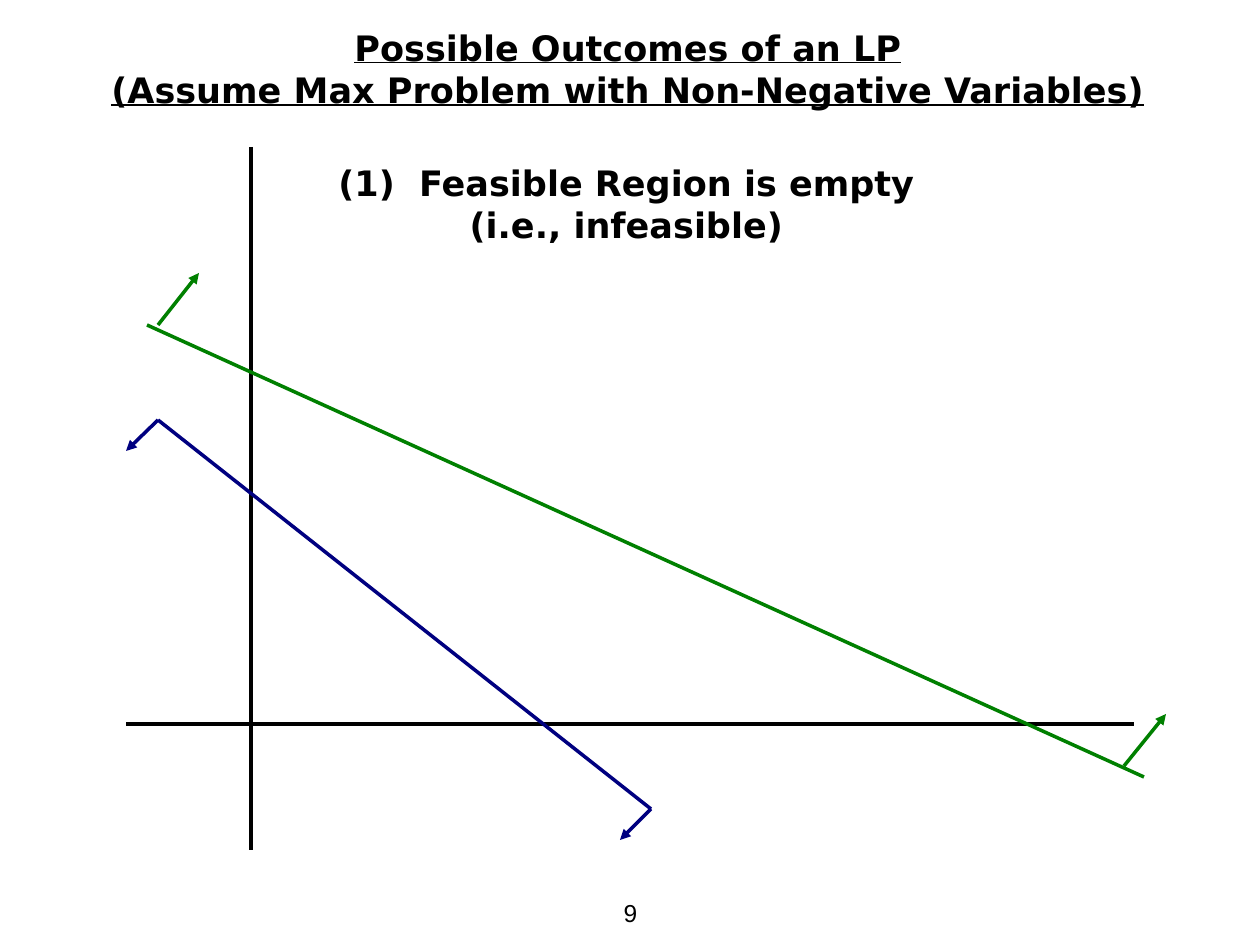
from dataclasses import dataclass

import pptx
import pptx.dml.color
import pptx.enum.shapes
import pptx.enum.text
import pptx.oxml.ns
import pptx.util
from lxml import etree

EMU_PER_PX = 914400 / 126
COLORS = {"black": "000000", "navy": "000080", "green": "008000"}


@dataclass(frozen=True)
class Box:
    left: int
    top: int
    width: int
    height: int


@dataclass(frozen=True)
class Segment:
    start: tuple[int, int]
    end: tuple[int, int]
    color: str
    arrow: bool = False


@dataclass(frozen=True)
class Label:
    lines: tuple[str, ...]
    box: Box
    size: int = 20
    font: str = "DejaVu Sans"
    bold: bool = True
    underline: bool = False


TITLE = Label(
    ("Possible Outcomes of an LP", "(Assume Max Problem with Non-Negative Variables)"),
    Box(19, 20, 1218, 97),
    underline=True,
)
OUTCOME = Label(
    ("(1)  Feasible Region is empty", "(i.e., infeasible)"), Box(190, 155, 873, 97)
)
PAGE_NUMBER = Label(("9",), Box(431, 892, 399, 34), size=14, font="Arial", bold=False)

SEGMENTS = (
    Segment((251, 147), (251, 850), "black"),
    Segment((126, 724), (1134, 724), "black"),
    Segment((158, 420), (651, 809), "navy"),
    Segment((147, 325), (1144, 777), "green"),
    Segment((158, 420), (126, 451), "navy", arrow=True),
    Segment((651, 809), (620, 840), "navy", arrow=True),
    Segment((158, 325), (199, 273), "green", arrow=True),
    Segment((1124, 766), (1166, 714), "green", arrow=True),
)


def px(length: int) -> pptx.util.Emu:
    return pptx.util.Emu(round(length * EMU_PER_PX))


def rgb(name: str) -> pptx.dml.color.RGBColor:
    return pptx.dml.color.RGBColor.from_string(COLORS[name])


def format_label(shape, label: Label) -> None:
    box = label.box
    shape.left, shape.top = px(box.left), px(box.top)
    shape.width, shape.height = px(box.width), px(box.height)
    frame = shape.text_frame
    frame.word_wrap = True
    frame.auto_size = pptx.enum.text.MSO_AUTO_SIZE.NONE
    frame.vertical_anchor = pptx.enum.text.MSO_ANCHOR.TOP
    paragraph = frame.paragraphs[0]
    paragraph.alignment = pptx.enum.text.PP_ALIGN.CENTER
    for index, line in enumerate(label.lines):
        if index:
            paragraph.add_line_break()
        paragraph.add_run().text = line
    font = paragraph.font
    font.name = label.font
    font.size = pptx.util.Pt(label.size)
    font.bold = label.bold
    font.underline = label.underline
    font.color.rgb = rgb("black")


def add_label(slide, label: Label) -> None:
    format_label(slide.shapes.add_textbox(0, 0, 0, 0), label)


def add_segment(slide, segment: Segment) -> None:
    connector = slide.shapes.add_connector(
        pptx.enum.shapes.MSO_CONNECTOR.STRAIGHT,
        *map(px, segment.start + segment.end),
    )
    connector.line.color.rgb = rgb(segment.color)
    connector.line.width = pptx.util.Pt(2)
    if segment.arrow:
        line = connector.line._get_or_add_ln()
        etree.SubElement(line, pptx.oxml.ns.qn("a:tailEnd"), type="triangle")
    properties = connector._element.spPr
    etree.SubElement(properties, pptx.oxml.ns.qn("a:effectLst"))


def main() -> None:
    presentation = pptx.Presentation()
    presentation.slide_width, presentation.slide_height = px(1260), px(945)
    slide = presentation.slides.add_slide(presentation.slide_layouts[5])
    format_label(slide.shapes.title, TITLE)
    for segment in SEGMENTS:
        add_segment(slide, segment)
    add_label(slide, OUTCOME)
    add_label(slide, PAGE_NUMBER)
    presentation.save("out.pptx")


if __name__ == "__main__":
    main()
